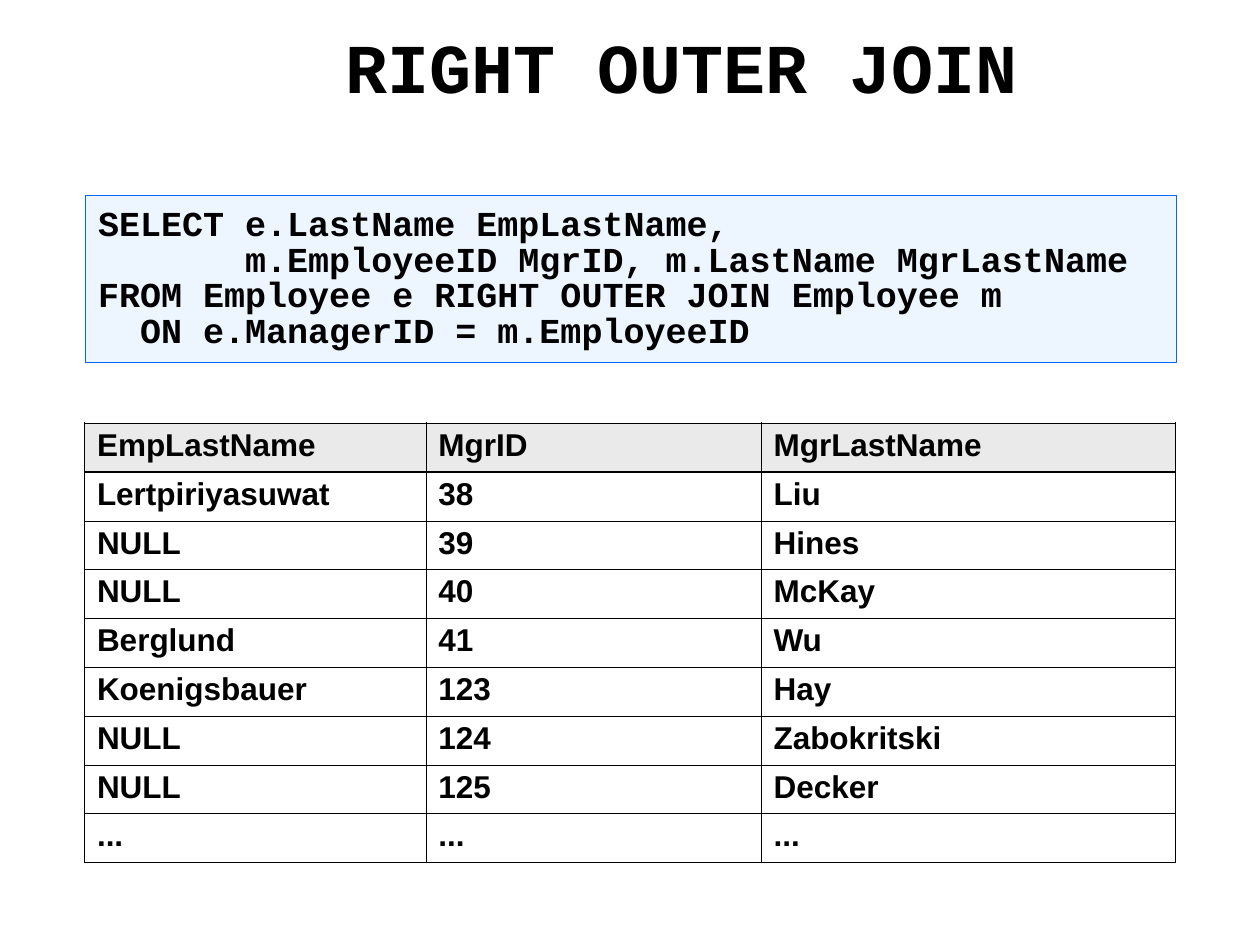
from dataclasses import dataclass

from lxml import etree
from pptx import Presentation
from pptx.dml.color import RGBColor
from pptx.enum.shapes import MSO_SHAPE
from pptx.enum.text import MSO_ANCHOR, PP_ALIGN
from pptx.oxml.ns import qn
from pptx.util import Inches, Pt

RECT = MSO_SHAPE.RECTANGLE
TOP, MIDDLE = MSO_ANCHOR.TOP, MSO_ANCHOR.MIDDLE
LEFT = PP_ALIGN.LEFT
TITLE_ONLY = 5

CODE = """SELECT e.LastName EmpLastName,
       m.EmployeeID MgrID, m.LastName MgrLastName
FROM Employee e RIGHT OUTER JOIN Employee m
  ON e.ManagerID = m.EmployeeID"""

ROWS = [
    ("EmpLastName", "MgrID", "MgrLastName"),
    ("Lertpiriyasuwat", "38", "Liu"),
    ("NULL", "39", "Hines"),
    ("NULL", "40", "McKay"),
    ("Berglund", "41", "Wu"),
    ("Koenigsbauer", "123", "Hay"),
    ("NULL", "124", "Zabokritski"),
    ("NULL", "125", "Decker"),
    ("...", "...", "..."),
]


@dataclass(frozen=True)
class Theme:
    ink: str = "000000"
    panel: str = "DDECFF"
    edge: str = "0066FF"
    head: str = "EAEAEA"
    mono: str = "Courier New"
    sans: str = "Arial"
    title: int = 40
    code: int = 20
    cell: int = 18
    thick: float = 1.08
    thin: float = 0.45


def rgb(code):
    return RGBColor.from_string(code)


def write(frame, text, *, font, size, color, space, anchor=TOP, pad=0.05):
    """Fill a text frame with bold text, one paragraph per line."""
    frame.word_wrap = True
    frame.vertical_anchor = anchor
    frame.margin_left = frame.margin_right = Inches(0.1)
    frame.margin_top = frame.margin_bottom = Inches(pad)
    frame.text = text
    for para in frame.paragraphs:
        para.alignment = LEFT
        para.line_spacing = space
        for run in para.runs:
            run.font.name = font
            run.font.size = Pt(size)
            run.font.bold = True
            run.font.color.rgb = rgb(color)


def border(cell, side, width, color):
    """Draw one cell edge; side is L, R, T or B, called in that order."""
    line = etree.SubElement(cell._tc.get_or_add_tcPr(), qn(f"a:ln{side}"),
                            w=str(Pt(width)))
    fill = etree.SubElement(line, qn("a:solidFill"))
    etree.SubElement(fill, qn("a:srgbClr"), val=color)


class Page:
    def __init__(self, slide, theme):
        self.slide = slide
        self.theme = theme

    def title(self, text, left, top, width, height):
        t = self.theme
        shape = self.slide.shapes.title
        shape.left, shape.top = Inches(left), Inches(top)
        shape.width, shape.height = Inches(width), Inches(height)
        write(shape.text_frame, text, font=t.mono, size=t.title,
              color=t.ink, space=0.85, anchor=MIDDLE)

    def code(self, text, left, top, width, height):
        t = self.theme
        box = self.slide.shapes.add_shape(
            RECT, Inches(left), Inches(top), Inches(width), Inches(height))
        box.shadow.inherit = False
        box.fill.solid()
        box.fill.fore_color.rgb = rgb(t.panel)
        tint = box._element.spPr.find(qn("a:solidFill")).find(qn("a:srgbClr"))
        etree.SubElement(tint, qn("a:alpha"), val="50000")
        box.line.color.rgb = rgb(t.edge)
        box.line.width = Pt(0.75)
        write(box.text_frame, text, font=t.mono, size=t.code,
              color=t.ink, space=0.85, pad=0.1)

    def table(self, rows, left, top, widths, height):
        t = self.theme
        grid = self.slide.shapes.add_table(
            len(rows), len(widths), Inches(left), Inches(top),
            Inches(sum(widths)), Inches(height)).table
        grid.first_row = grid.horz_banding = False
        for col, width in zip(grid.columns, widths):
            col.width = Inches(width)
        for r, row in enumerate(rows):
            for c, text in enumerate(row):
                cell = grid.cell(r, c)
                self.cell(cell, text, r == 0)
                heavy = {
                    "L": c == 0,
                    "R": c == len(widths) - 1,
                    "T": r <= 1,
                    "B": r in (0, len(rows) - 1),
                }
                for side, bold in heavy.items():
                    border(cell, side, t.thick if bold else t.thin, t.ink)
                if r == 0:
                    cell.fill.solid()
                    cell.fill.fore_color.rgb = rgb(t.head)
                else:
                    cell.fill.background()

    def cell(self, cell, text, head):
        t = self.theme
        cell.vertical_anchor = TOP
        cell.margin_left = cell.margin_right = Inches(0.1)
        cell.margin_top = cell.margin_bottom = Inches(0.05)
        write(cell.text_frame, text, font=t.sans, size=t.cell,
              color=t.ink, space=0.95)


def main():
    deck = Presentation()
    deck.slide_width, deck.slide_height = Inches(10), Inches(7.5)
    slide = deck.slides.add_slide(deck.slide_layouts[TITLE_ONLY])
    page = Page(slide, Theme())
    page.title("RIGHT OUTER JOIN", 2.64, 0.08, 7.17, 0.99)
    page.code(CODE, 0.68, 1.55, 8.66, 1.33)
    page.table(ROWS, 0.67, 3.36, (2.71, 2.66, 3.29), 3.49)
    deck.save("out.pptx")


if __name__ == "__main__":
    main()
